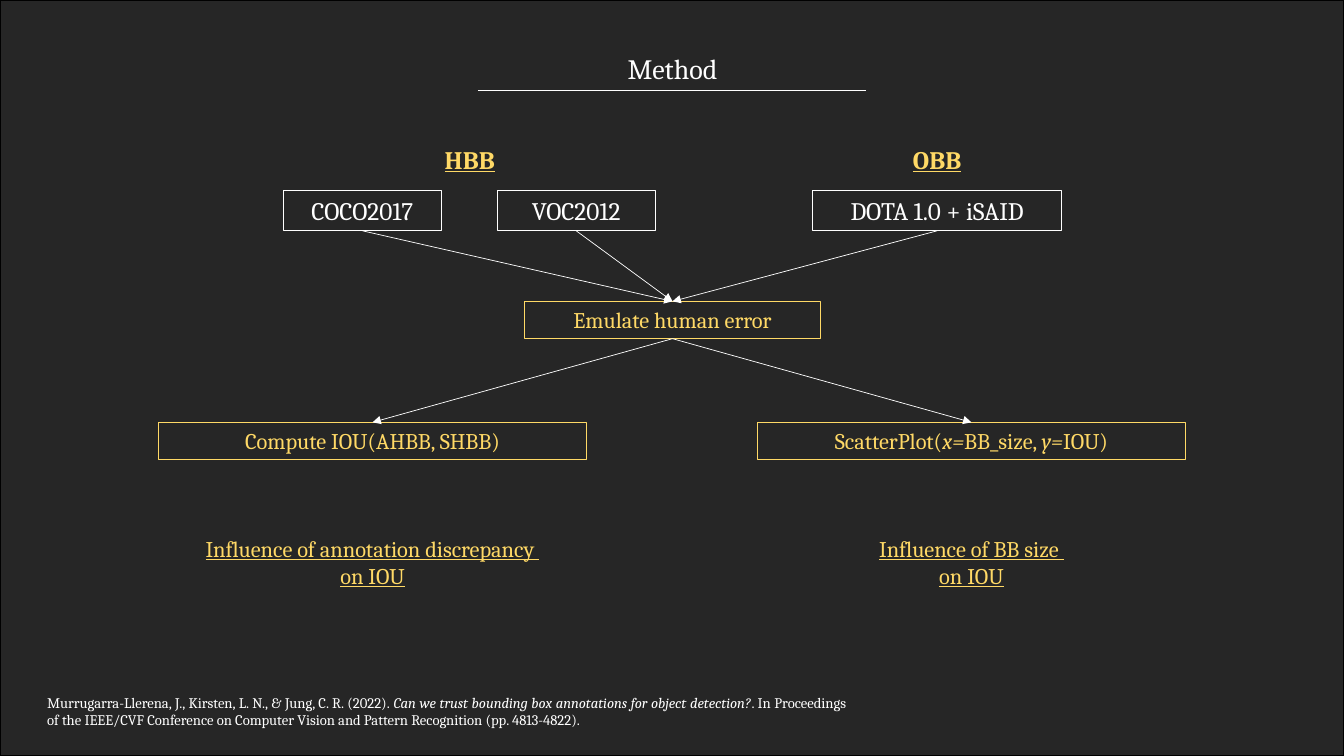
from dataclasses import dataclass

from lxml.etree import SubElement
from pptx import Presentation
from pptx.dml.color import RGBColor
from pptx.enum.shapes import MSO_CONNECTOR as CONN, MSO_SHAPE as SHAPE
from pptx.enum.text import MSO_ANCHOR as ANCHOR, PP_ALIGN as ALIGN
from pptx.oxml.ns import qn
from pptx.util import Inches, Pt

TOP, BOTTOM = 0, 2


@dataclass(frozen=True)
class Theme:
    font: str = "Cambria"
    back: RGBColor = RGBColor(0x26, 0x26, 0x26)
    edge: RGBColor = RGBColor(0, 0, 0)
    white: RGBColor = RGBColor(0xFF, 0xFF, 0xFF)
    gold: RGBColor = RGBColor(0xFF, 0xD9, 0x66)
    title: float = 20
    data: float = 18
    step: float = 16
    cite: float = 10.5
    border: float = 0.75
    thin: float = 0.5


def write(tf, paragraphs, *, theme, size, color, align=ALIGN.CENTER,
          anchor=ANCHOR.TOP, bold=False, underline=False, spacing=None):
    tf.word_wrap = True
    tf.vertical_anchor = anchor
    for i, parts in enumerate(paragraphs):
        p = tf.add_paragraph() if i else tf.paragraphs[0]
        p.alignment = align
        p.line_spacing = spacing
        for j, text in enumerate(parts):
            r = p.add_run()
            r.text = text
            font = r.font
            font.name, font.size = theme.font, Pt(size)
            font.color.rgb = color
            font.bold, font.underline = bold, underline
            font.italic = j % 2 == 1


class Builder:
    def __init__(self, slide, theme):
        self.slide, self.theme = slide, theme

    def rect(self, x, y, w, h, *, line, width, fill=None):
        s = self.slide.shapes.add_shape(
            SHAPE.RECTANGLE, Inches(x), Inches(y), Inches(w), Inches(h))
        s.shadow.inherit = False
        if fill is None:
            s.fill.background()
        else:
            s.fill.solid()
            s.fill.fore_color.rgb = fill
        s.line.color.rgb = line
        s.line.width = Pt(width)
        return s

    def box(self, x, y, w, h, *parts, size, color):
        s = self.rect(x, y, w, h, line=color, width=self.theme.border)
        write(s.text_frame, [parts], theme=self.theme, size=size, color=color)
        return s

    def text(self, x, y, w, h, *paragraphs, **style):
        s = self.slide.shapes.add_textbox(
            Inches(x), Inches(y), Inches(w), Inches(h))
        write(s.text_frame, paragraphs, theme=self.theme, **style)

    def line(self, x1, y1, x2, y2):
        c = self.slide.shapes.add_connector(
            CONN.STRAIGHT, Inches(x1), Inches(y1), Inches(x2), Inches(y2))
        c.line.color.rgb = self.theme.white
        c.line.width = Pt(self.theme.thin)
        SubElement(c._element.spPr, qn("a:effectLst"))
        return c

    def arrow(self, start, end):
        c = self.line(0, 0, 0, 0)
        c.begin_connect(start, BOTTOM)
        c.end_connect(end, TOP)
        SubElement(c.line._get_or_add_ln(), qn("a:tailEnd"), type="triangle")


def main():
    prs = Presentation()
    prs.slide_width, prs.slide_height = Inches(13.33), Inches(7.5)
    t = Theme()
    b = Builder(prs.slides.add_slide(prs.slide_layouts[6]), t)

    b.rect(0, 0, 13.33, 7.5, line=t.edge, width=1, fill=t.back)
    b.line(4.74, 0.9, 8.59, 0.9)
    b.text(4.43, 0.5, 4.48, 0.39, ["Method"], size=t.title, color=t.white,
           anchor=ANCHOR.MIDDLE, spacing=0.9)
    b.text(0.37, 6.83, 8.12, 0.45, [
        "Murrugarra-Llerena, J., Kirsten, L. N., & Jung, C. R. (2022). ",
        "Can we trust bounding box annotations for object detection?",
        ". In Proceedings of the IEEE/CVF Conference on Computer Vision and "
        "Pattern Recognition (pp. 4813-4822).",
    ], size=t.cite, color=t.white, align=ALIGN.JUSTIFY)

    for x, w, name in [(2.81, 3.7, "HBB"), (8.06, 2.47, "OBB")]:
        b.text(x, 1.38, w, 0.4, [name], size=t.data, color=t.gold,
               bold=True, underline=True)

    emulate = b.box(5.2, 2.99, 2.94, 0.37, "Emulate human error",
                    size=t.step, color=t.gold)

    datasets = [(2.81, 1.57, "COCO2017"), (4.93, 1.57, "VOC2012"),
                (8.06, 2.47, "DOTA 1.0 + iSAID")]
    for x, w, name in datasets:
        dataset = b.box(x, 1.89, w, 0.4, name, size=t.data, color=t.white)
        b.arrow(dataset, emulate)

    analyses = [
        (1.57, ["Compute IOU(AHBB, SHBB)"],
         "Influence of annotation discrepancy "),
        (7.51, ["ScatterPlot(", "x=", "BB_size, ", "y=", "IOU)"],
         "Influence of BB size "),
    ]
    for x, parts, finding in analyses:
        analysis = b.box(x, 4.19, 4.25, 0.37, *parts,
                         size=t.step, color=t.gold)
        b.arrow(emulate, analysis)
        b.text(x, 5.26, 4.25, 0.64, [finding], ["on IOU"],
               size=t.step, color=t.gold, underline=True)

    prs.save("out.pptx")


if __name__ == "__main__":
    main()
